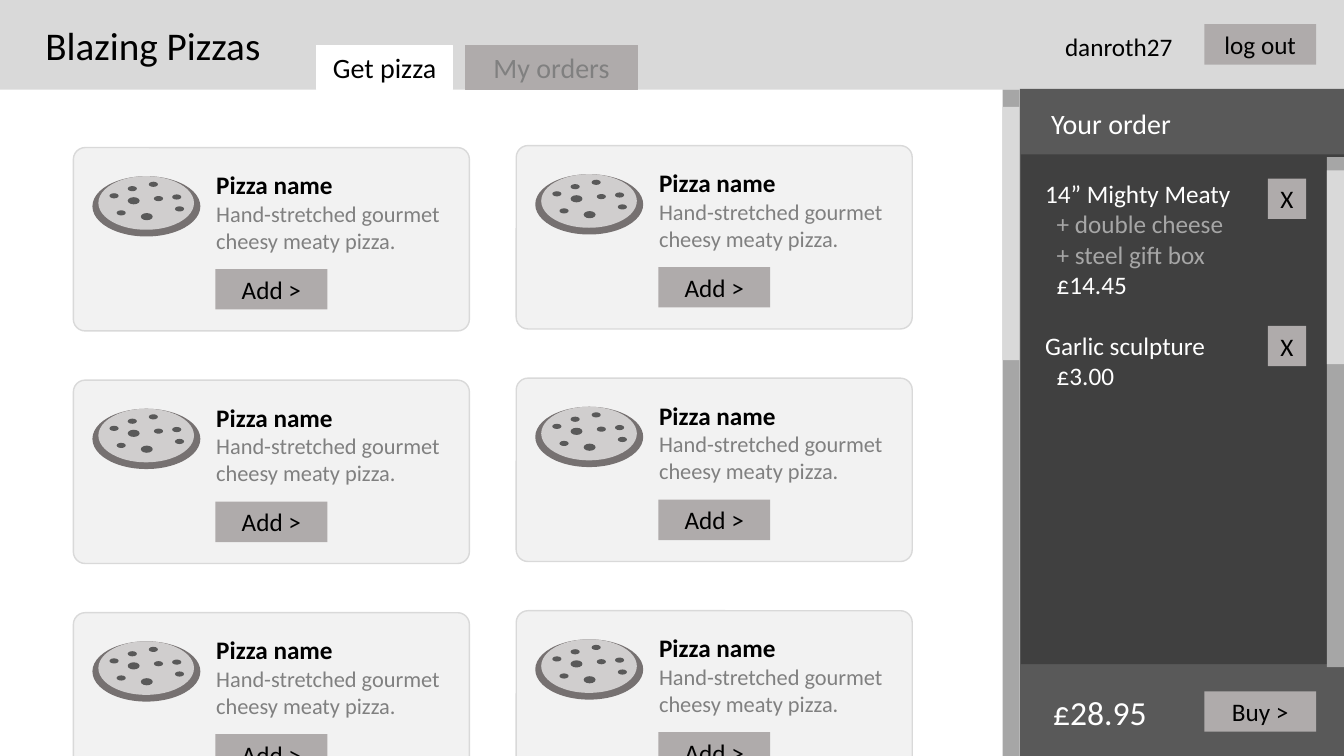
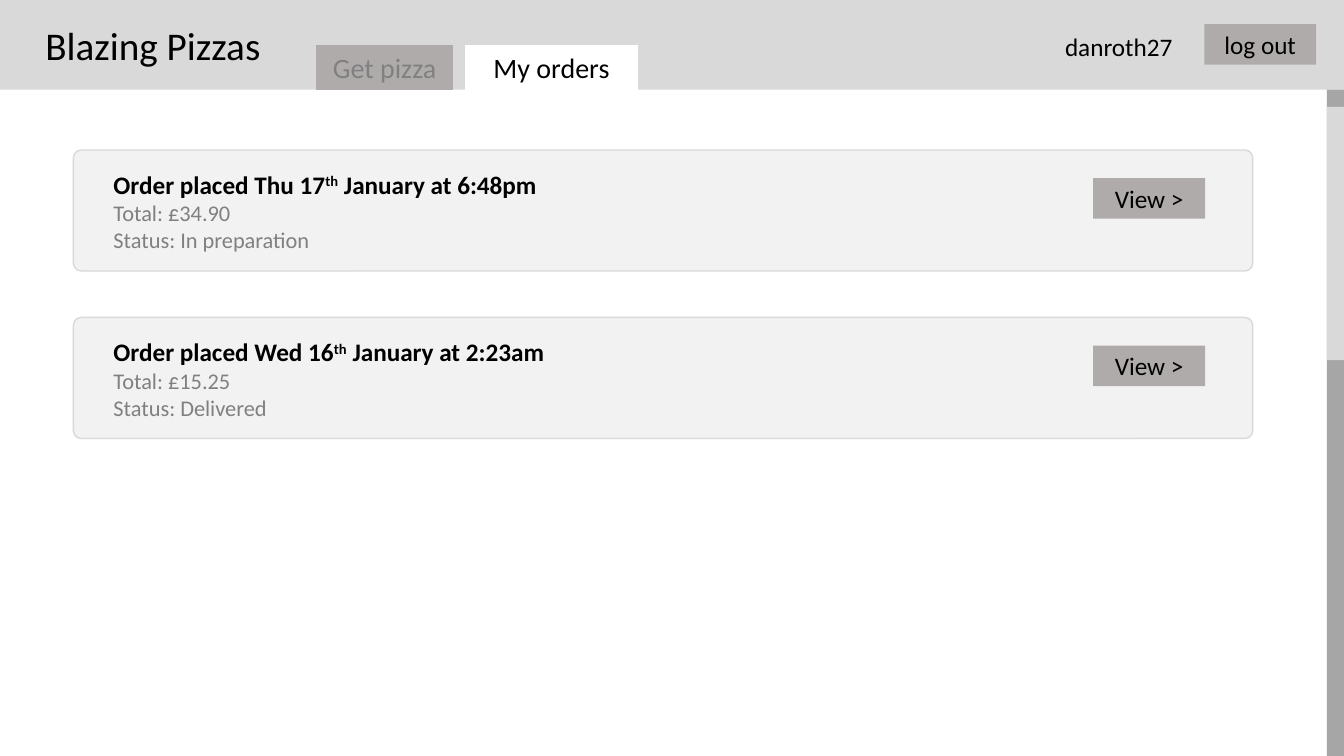
from dataclasses import dataclass
from itertools import product

from pptx import Presentation
from pptx.dml.color import RGBColor
from pptx.enum.shapes import MSO_SHAPE
from pptx.enum.text import MSO_ANCHOR, PP_ALIGN
from pptx.util import Cm, Pt


@dataclass(frozen=True)
class Theme:
    """Colours and type sizes of the app."""
    font: str = "Calibri"
    black: str = "000000"
    white: str = "FFFFFF"
    band: str = "D9D9D9"
    button: str = "AFABAB"
    muted: str = "808080"
    card: str = "F2F2F2"
    track: str = "A6A6A6"
    panel: str = "595959"
    list: str = "404040"
    crust: str = "767171"
    sauce: str = "D0CECE"
    brand: int = 28
    total: int = 24
    head: int = 20
    text: int = 18
    small: int = 16


T = Theme()
WIDE, HIGH = 33.87, 19.05
BAND = 2.26
BAR = 0.43
KEY = (2.82, 1.02)
SMALL_DOTS = [(0.89, 0.25), (1.55, 0.5), (0.61, 0.86), (2.08, 0.76),
              (1.42, 0.14), (2.01, 0.46), (0.43, 0.43)]
LARGE_DOTS = [(1.22, 0.93), (0.89, 0.53)]
ORDERS = [("Order placed Thu 17^th^ January at 6:48pm",
           "Total: £34.90", "Status: In preparation"),
          ("Order placed Wed 16^th^ January at 2:23am",
           "Total: £15.25", "Status: Delivered")]


def assign(item, values):
    """Set each named attribute of the item."""
    for name, value in values.items():
        setattr(item, name, value)


def line(text, size=T.text, tint=T.black, bold=False, left=0, **form):
    """Describe one paragraph; text between carets is raised."""
    return text, size, tint, bold, left, form


def write(shape, lines, wrap=True, **form):
    """Fill the shape with the described paragraphs."""
    frame = shape.text_frame
    assign(frame, {"word_wrap": wrap, "vertical_anchor": MSO_ANCHOR.TOP, **form})
    for at, (text, size, tint, bold, left, style) in enumerate(lines):
        para = frame.add_paragraph() if at else frame.paragraphs[0]
        assign(para, {"alignment": PP_ALIGN.LEFT, **style})
        if left:
            para._p.get_or_add_pPr().set("marL", str(Cm(left)))
        for turn, part in enumerate(text.split("^")):
            run = para.add_run()
            run.text = part
            assign(run.font, {"name": T.font, "size": Pt(size), "bold": bold})
            run.font.color.rgb = RGBColor.from_string(tint)
            if turn % 2:
                run._r.get_or_add_rPr().set("baseline", "30000")


def draw(shapes, box, fill, kind=MSO_SHAPE.RECTANGLE, edge=None, width=0.75):
    """Add a flat preset shape in the box."""
    shape = shapes.add_shape(kind, *map(Cm, box))
    shape.shadow.inherit = False
    shape.fill.solid()
    shape.fill.fore_color.rgb = RGBColor.from_string(fill)
    if edge:
        shape.line.color.rgb = RGBColor.from_string(edge)
        shape.line.width = Pt(width)
    else:
        shape.line.fill.background()
    return shape


def label(shapes, box, *lines, wrap=False):
    """Add a plain text box."""
    write(shapes.add_textbox(*map(Cm, box)), lines, wrap)


def button(shapes, x, y, text, size=KEY):
    """Add a grey button with its caption in the middle."""
    write(draw(shapes, (x, y, *size), T.button),
          [line(text, alignment=PP_ALIGN.CENTER)],
          vertical_anchor=MSO_ANCHOR.MIDDLE)


def scroll(slide, x, y, high):
    """Add a scroll bar: a track and a thumb near its top."""
    shapes = slide.shapes.add_group_shape().shapes
    draw(shapes, (x, y, BAR, high), T.track)
    draw(shapes, (x, y + 0.026 * high, BAR, 0.38 * high), T.band)


def frame_card(shapes, box):
    """Add the rounded outline of a card."""
    shape = draw(shapes, box, T.card, MSO_SHAPE.ROUNDED_RECTANGLE, T.band, 1)
    shape.adjustments[0] = 0.064


def header(slide, current):
    """Add the top band, title, tabs and user, with the current tab lit."""
    shapes = slide.shapes
    band = draw(shapes, (0, 0, WIDE, BAND), T.band)
    title = shapes.title
    title.element.addprevious(band.element)
    spot = zip(("left", "top", "width", "height"),
               map(Cm, (0.89, 0.41, 5.97, 1.45)))
    assign(title, dict(spot))
    write(title, [line("Blazing Pizzas", T.brand)], wrap=False)
    for text, x, wide in [("Get pizza", 7.98, 3.43), ("My orders", 11.73, 4.34)]:
        lit = text == current
        fill = T.white if lit else T.button
        tab = draw(shapes, (x, 1.14, wide, BAND - 1.14), fill, edge=fill)
        write(tab, [line(text, T.head, T.black if lit else T.muted,
                         alignment=PP_ALIGN.CENTER)],
              vertical_anchor=MSO_ANCHOR.MIDDLE)
    label(shapes, (26.59, 0.66, 3.25, 1.02), line("danroth27"))
    button(shapes, 30.35, 0.61, "log out")


def pizza(shapes, x, y):
    """Draw a pizza with its toppings."""
    def oval(dx, dy, wide, high, fill):
        draw(shapes, (x + dx, y + dy, wide, high), fill, MSO_SHAPE.OVAL)

    oval(0, 0, 2.72, 1.52, T.crust)
    oval(0.15, 0, 2.41, 1.35, T.sauce)
    for dots, size in [(SMALL_DOTS, (0.23, 0.13)), (LARGE_DOTS, (0.3, 0.18))]:
        for dot in dots:
            oval(*dot, *size, T.panel)


def pizza_card(slide, x, y):
    """Add one card of the menu."""
    shapes = slide.shapes.add_group_shape().shapes
    frame_card(shapes, (x, y, 9.98, 4.62))
    pizza(shapes, x + 0.48, y + 0.72)
    label(shapes, (x + 3.35, y + 0.43, 6.6, 2.39),
          line("Pizza name", bold=True),
          line("Hand-stretched gourmet cheesy meaty pizza.", T.small, T.muted),
          wrap=True)
    button(shapes, x + 3.58, y + 3.06, "Add >")


def basket(slide, x, y, wide, high):
    """Add the side panel with the order, its total and the buy button."""
    shapes = slide.shapes
    draw(shapes, (x, y, wide, high), T.panel)
    label(shapes, (x + 0.54, y + 0.33, 3.56, 1.12),
          line("Your order", T.head, T.white))
    items = draw(shapes, (x + 0.03, y + 1.65, wide - 0.03, 12.85), T.list)
    sub = {"left": 0.29}
    pad = dict.fromkeys(("margin_left", "margin_top", "margin_right"), Cm(0.61))
    write(items, [
        line("14” Mighty Meaty", tint=T.white),
        line("+ double cheese", tint=T.track, **sub),
        line("+ steel gift box", tint=T.track, **sub),
        line("£14.45", tint=T.white, **sub),
        line("Garlic sculpture", tint=T.white, space_before=Pt(22)),
        line("£3.00", tint=T.white, **sub)], **pad)
    scroll(slide, x + wide - BAR, y + 1.72, 12.85)
    label(shapes, (x + 0.59, y + 15.06, 2.9, 1.27),
          line("£28.95", T.total, T.white))
    button(shapes, x + 4.65, y + 15.18, "Buy >")
    for row in range(2):
        button(shapes, x + 6.25, y + 2.26 + 3.71 * row, "X", (0.97, 1.02))


def order_card(slide, x, y, texts):
    """Add one placed order with its state and view button."""
    shapes = slide.shapes
    frame_card(shapes, (x, y, 29.72, 3.05))
    name, *facts = texts
    label(shapes, (x + 0.76, y + 0.36, 14.5, 2.39), line(name, bold=True),
          *(line(fact, T.small, T.muted) for fact in facts), wrap=True)
    button(shapes, x + 25.7, y + 0.71, "View >")


def menu_page(slide):
    """Build the page where pizzas are picked."""
    header(slide, "Get pizza")
    scroll(slide, 25.27, BAND, HIGH - BAND)
    for row, col in product(range(3), range(2)):
        pizza_card(slide, 1.85 + 11.16 * col, 3.72 + 5.86 * row - 0.05 * col)
    basket(slide, 25.7, 2.24, WIDE - 25.7, HIGH - 2.24)


def orders_page(slide):
    """Build the page that lists the placed orders."""
    header(slide, "My orders")
    for row, texts in enumerate(ORDERS):
        order_card(slide, 1.85, 3.78 + 4.22 * row, texts)
    scroll(slide, WIDE - BAR, BAND, HIGH - BAND)


def main():
    """Build and save the deck."""
    deck = Presentation()
    assign(deck, {"slide_width": Cm(WIDE), "slide_height": Cm(HIGH)})
    for page in (menu_page, orders_page):
        page(deck.slides.add_slide(deck.slide_layouts[5]))
    deck.save("out.pptx")


main()
